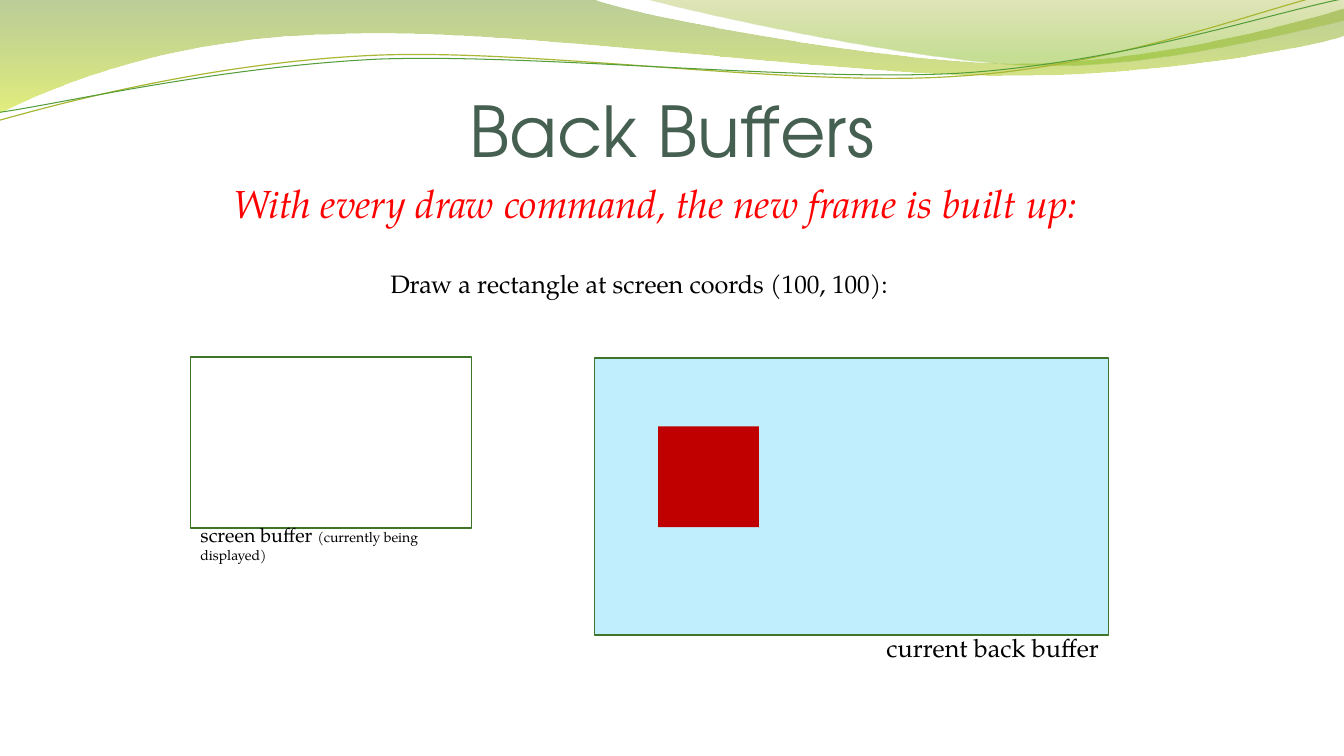
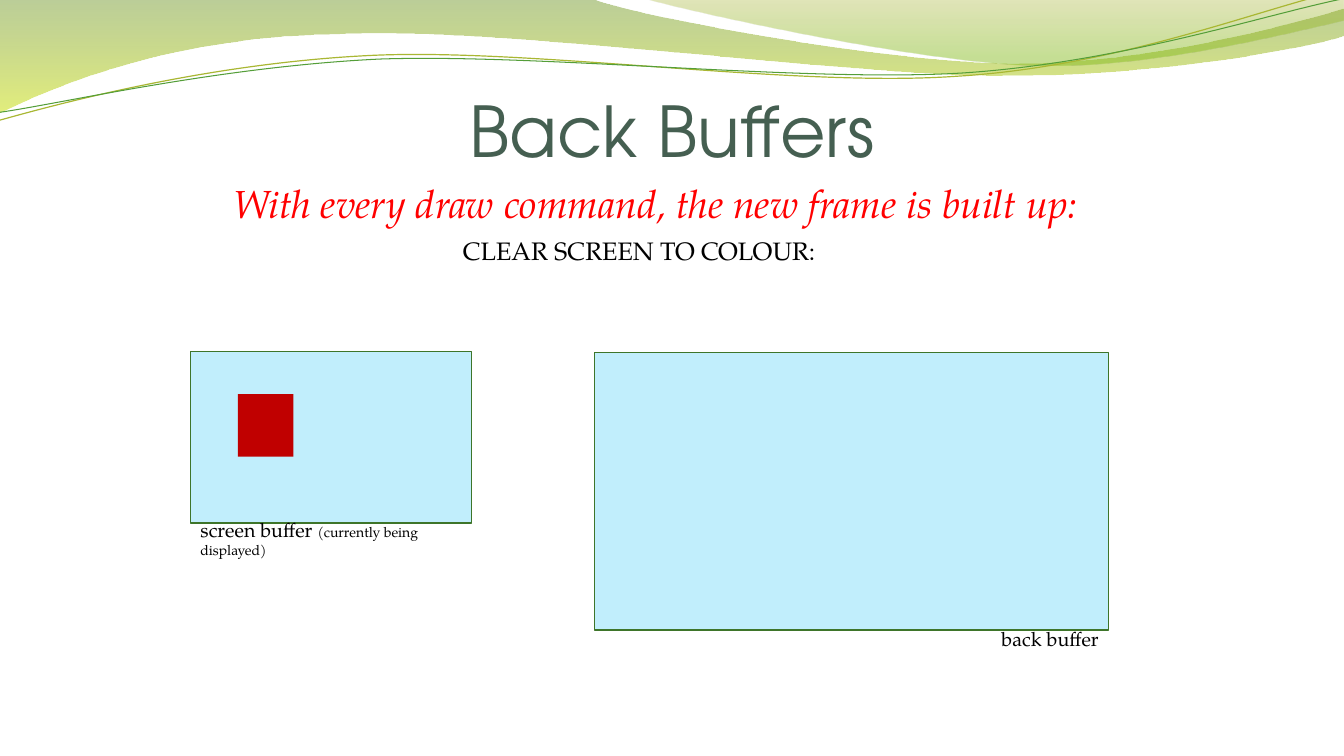
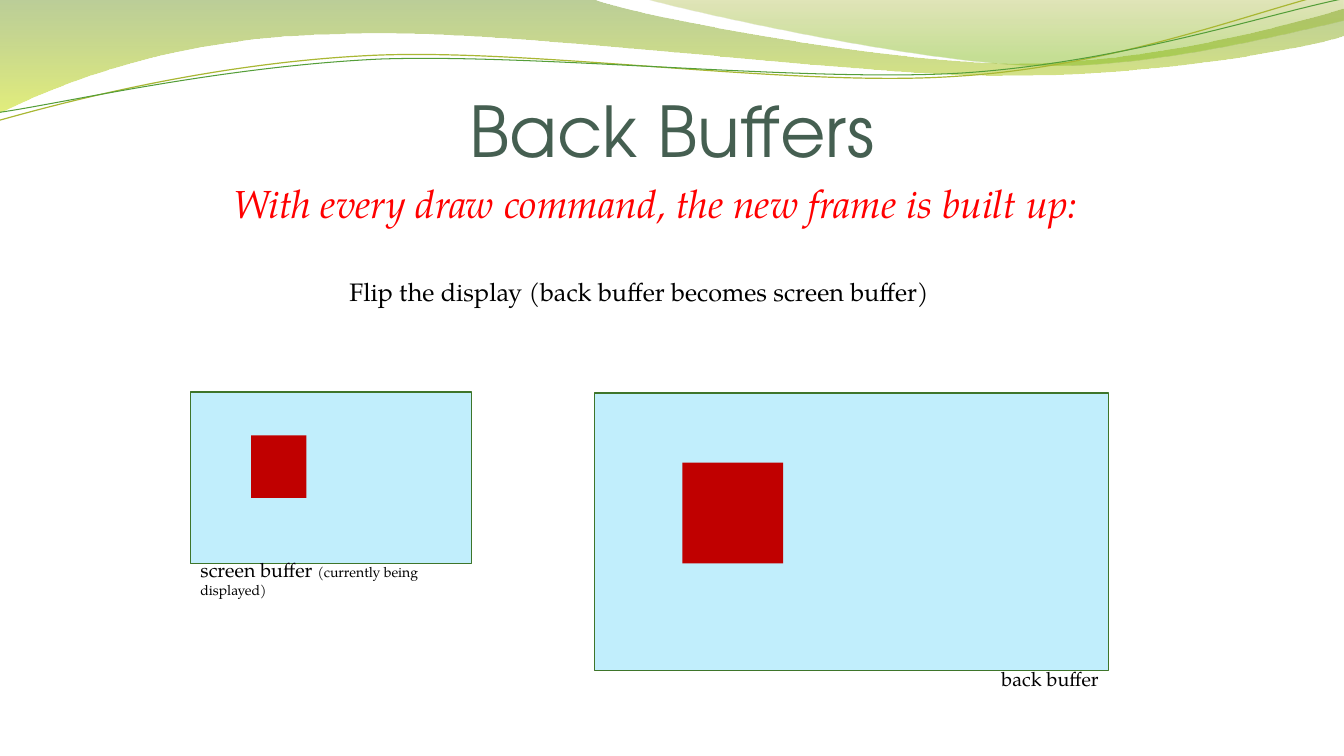
from dataclasses import dataclass
from typing import NamedTuple, Optional

from lxml import etree
from pptx import Presentation
from pptx.dml.color import RGBColor
from pptx.enum.shapes import MSO_SHAPE
from pptx.enum.text import MSO_ANCHOR, MSO_AUTO_SIZE, PP_ALIGN
from pptx.oxml.ns import qn
from pptx.shapes.autoshape import Shape
from pptx.slide import Slide
from pptx.text.text import TextFrame
from pptx.util import Inches, Pt

COLOURS = {
    "title": "455F51",
    "lead": "FF0000",
    "text": "000000",
    "empty": "FFFFFF",
    "cleared": "C1EEFC",
    "border": "3E752A",
    "square": "C00000",
    "band_top": "69921C",
    "band_bottom": "CCE10F",
    "veil_top": "9BAA1A",
    "veil_bottom": "81BA16",
    "olive_line": "A9B733",
    "green_line": "549E39",
}
TITLE_FONT = "TeX Gyre Adventor"
BODY_FONT = "TeX Gyre Pagella"
MARGIN = 1.89
TEXT_WIDTH = 8.9
CAPTION_WIDTH = 2.79
LINE_TILT = 357.3

Point = tuple[float, float]


class Stop(NamedTuple):
    colour: str
    position: float
    opacity: int


class Words(NamedTuple):
    text: str
    size: float
    colour: str = "text"
    font: str = BODY_FONT
    italic: bool = False


@dataclass(frozen=True)
class Wave:
    """An outline whose segments hold one point (straight) or three (cubic curve)."""
    start: Point
    segments: tuple[tuple[Point, ...], ...]
    stops: tuple[Stop, ...] = ()
    line: str = ""
    line_width: float = 0


@dataclass(frozen=True)
class Buffer:
    left: float
    width: float
    height: float
    square_width: float
    square_height: float


@dataclass(frozen=True)
class Step:
    """One drawing step; squares are placed from the buffer's top left corner."""
    command: str
    command_top: float
    buffers_top: float
    screen_fill: str
    screen_square: Optional[Point]
    back_square: Optional[Point]
    back_caption: Words


WAVES = (
    Wave(
        (0, 0),
        (
            ((5.87, -0.01),),
            ((6.34, 0.17), (8.84, 0.63), (10.11, 0.63)),
            ((11.37, 0.63), (12.77, 0.26), (13.33, 0.09)),
            ((13.34, 0.36),),
            ((13.11, 0.44), (11.59, 0.76), (9.94, 0.75)),
            ((8.29, 0.75), (5.09, 0.28), (3.43, 0.34)),
            ((1.72, 0.36), (0.61, 0.83), (-0.02, 1.13)),
            ((0, 0),),
        ),
        stops=(Stop("band_top", 0, 45), Stop("band_bottom", 1, 55)),
    ),
    Wave(
        (6.38, -0.01),
        (
            ((6.79, 0.11), (9.09, 0.62), (10.25, 0.65)),
            ((11.4, 0.69), (12.82, 0.32), (13.33, 0.21)),
            ((13.33, 0),),
            ((6.38, -0.01),),
        ),
        stops=(Stop("veil_top", 0, 30), Stop("veil_bottom", 0.8, 45)),
    ),
    Wave(
        (-0.03, 0.88),
        (
            ((0.62, 0.73), (2.1, 0.41), (3.69, 0.41)),
            ((5.28, 0.41), (7.87, 0.93), (9.48, 0.89)),
            ((11.09, 0.87), (12.53, 0.36), (13.33, 0.22)),
        ),
        line="olive_line", line_width=0.85,
    ),
    Wave(
        (-0.02, 0.8),
        (
            ((0.61, 0.74), (2.18, 0.45), (3.77, 0.45)),
            ((5.37, 0.47), (7.95, 0.88), (9.54, 0.86)),
            ((11.13, 0.83), (12.57, 0.42), (13.36, 0.3)),
        ),
        line="green_line", line_width=0.75,
    ),
)

SCREEN = Buffer(MARGIN, 2.79, 1.7, 0.55, 0.62)
BACK = Buffer(5.9, 5.1, 2.75, 1, 1)

STEPS = (
    Step("Draw a rectangle at screen coords (100, 100):", 2.61, 3.54,
         "empty", None, (0.63, 0.68), Words("current back buffer", 18)),
    Step("CLEAR SCREEN TO COLOUR:", 2.29, 3.49,
         "cleared", (0.47, 0.42), None, Words("back buffer", 14)),
    Step("Flip the display (back buffer becomes screen buffer)", 2.69, 3.89,
         "cleared", (0.6, 0.43), (0.87, 0.69), Words("back buffer", 14)),
)


def rgb(name: str) -> RGBColor:
    return RGBColor.from_string(COLOURS[name])


def fill_gradient(shape: Shape, stops: tuple[Stop, ...]) -> None:
    """Fill from top to bottom with partly transparent colours."""
    shape.fill.gradient()
    shape.fill.gradient_angle = 270
    for target, stop in zip(shape.fill.gradient_stops, stops):
        target.color.rgb = rgb(stop.colour)
        target.position = stop.position
    for colour, stop in zip(shape._element.spPr.iter(qn("a:srgbClr")), stops):
        etree.SubElement(colour, qn("a:alpha")).set("val", str(stop.opacity * 1000))


def bend_segments(shape: Shape, wave: Wave) -> None:
    """Join each three straight pieces that stand for a cubic curve into that curve."""
    pieces = iter(list(shape._element.spPr.iter(qn("a:lnTo"))))
    for segment in wave.segments:
        first, *others = [next(pieces) for _ in segment]
        if others:
            first.tag = qn("a:cubicBezTo")
            for piece in others:
                first.append(piece[0])
                piece.getparent().remove(piece)


def draw_wave(slide: Slide, wave: Wave) -> None:
    builder = slide.shapes.build_freeform(*map(Inches, wave.start))
    points = [(Inches(x), Inches(y)) for segment in wave.segments for x, y in segment]
    builder.add_line_segments(points, close=False)
    shape = builder.convert_to_shape()
    bend_segments(shape, wave)
    shape.shadow.inherit = False
    if wave.stops:
        outline = next(shape._element.spPr.iter(qn("a:path")))
        etree.SubElement(outline, qn("a:close"))
        fill_gradient(shape, wave.stops)
        shape.line.fill.background()
    else:
        shape.rotation = LINE_TILT
        shape.fill.background()
        shape.line.color.rgb = rgb(wave.line)
        shape.line.width = Pt(wave.line_width)


def add_text(slide: Slide, left: float, top: float, width: float,
             align: PP_ALIGN, *runs: Words) -> TextFrame:
    """Add one paragraph in a box as high as a line of its first run."""
    height = 0.1 + runs[0].size / 60
    box = slide.shapes.add_textbox(Inches(left), Inches(top), Inches(width), Inches(height))
    frame = box.text_frame
    frame.word_wrap = True
    frame.auto_size = MSO_AUTO_SIZE.SHAPE_TO_FIT_TEXT
    paragraph = frame.paragraphs[0]
    paragraph.alignment = align
    for words in runs:
        run = paragraph.add_run()
        run.text = words.text
        run.font.size = Pt(words.size)
        run.font.name = words.font
        run.font.italic = words.italic
        run.font.color.rgb = rgb(words.colour)
    return frame


def add_rectangle(slide: Slide, left: float, top: float, width: float, height: float,
                  fill: str, border: str = "") -> None:
    shape = slide.shapes.add_shape(
        MSO_SHAPE.RECTANGLE, Inches(left), Inches(top), Inches(width), Inches(height))
    shape.shadow.inherit = False
    shape.fill.solid()
    shape.fill.fore_color.rgb = rgb(fill)
    if border:
        shape.line.color.rgb = rgb(border)
        shape.line.width = Pt(1)
    else:
        shape.line.fill.background()


def draw_buffer(slide: Slide, buffer: Buffer, top: float, fill: str,
                square: Optional[Point]) -> None:
    add_rectangle(slide, buffer.left, top, buffer.width, buffer.height, fill, "border")
    if square:
        across, down = square
        add_rectangle(slide, buffer.left + across, top + down,
                      buffer.square_width, buffer.square_height, "square")


def draw_heading(slide: Slide) -> None:
    for wave in WAVES:
        draw_wave(slide, wave)
    title = add_text(slide, 0.67, 0.77, 12, PP_ALIGN.CENTER,
                     Words("Back Buffers", 50, "title", TITLE_FONT))
    title.auto_size = MSO_AUTO_SIZE.NONE
    title.vertical_anchor = MSO_ANCHOR.BOTTOM
    title.margin_left = title.margin_right = title.margin_bottom = 0
    add_text(slide, MARGIN, 1.73, TEXT_WIDTH, PP_ALIGN.RIGHT,
             Words("With every draw command, the new frame is built up:", 28, "lead",
                   italic=True))


def draw_step(slide: Slide, step: Step) -> None:
    draw_heading(slide)
    add_text(slide, MARGIN, step.command_top, TEXT_WIDTH, PP_ALIGN.CENTER,
             Words(step.command, 18))
    screen_top = step.buffers_top
    back_top = screen_top + 0.01
    draw_buffer(slide, BACK, back_top, "cleared", step.back_square)
    add_text(slide, BACK.left + BACK.width - CAPTION_WIDTH, back_top + 2.67,
             CAPTION_WIDTH, PP_ALIGN.RIGHT, step.back_caption)
    draw_buffer(slide, SCREEN, screen_top, step.screen_fill, step.screen_square)
    add_text(slide, SCREEN.left, screen_top + 1.6, CAPTION_WIDTH, PP_ALIGN.LEFT,
             Words("screen buffer ", 14), Words("(currently being displayed)", 10))


def main() -> None:
    deck = Presentation()
    deck.slide_width = Inches(40 / 3)
    deck.slide_height = Inches(7.5)
    blank = deck.slide_layouts[6]
    for step in STEPS:
        draw_step(deck.slides.add_slide(blank), step)
    deck.save("out.pptx")


if __name__ == "__main__":
    main()
